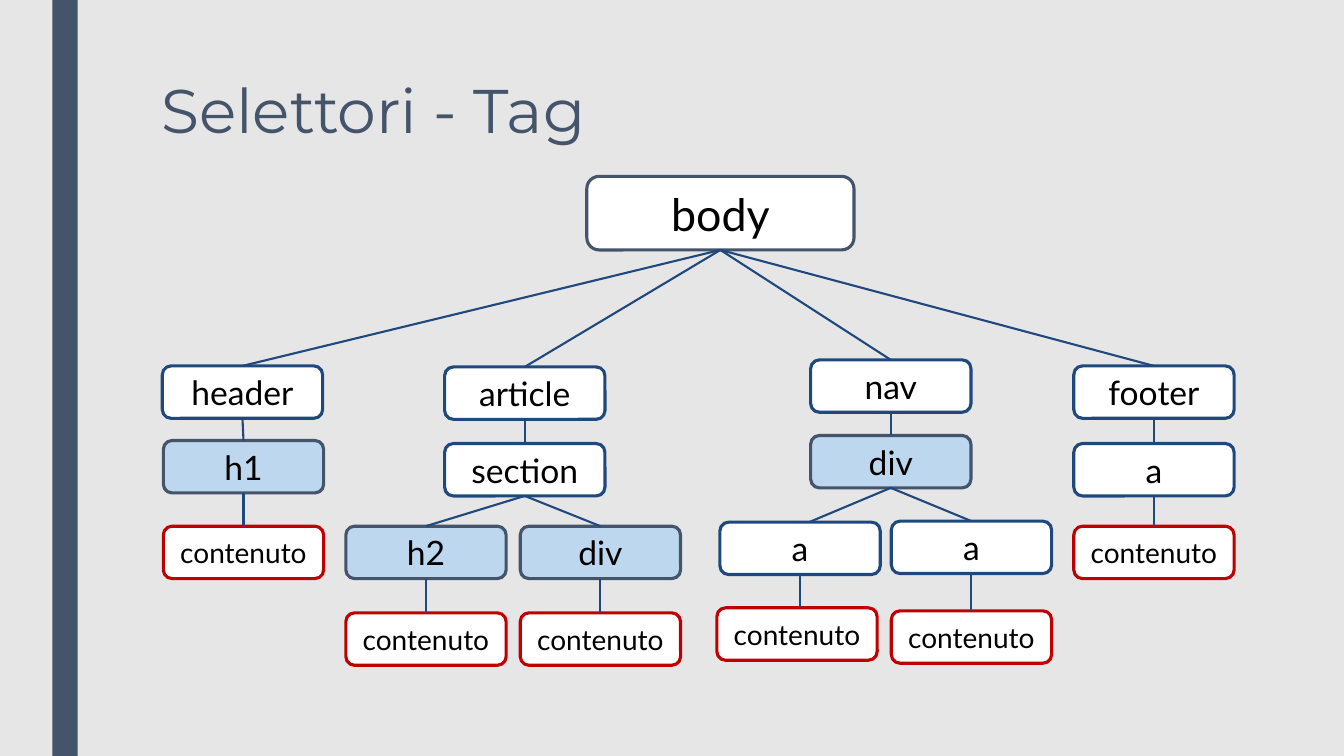
"""Build a slide showing an HTML tag tree with the selected tags highlighted."""
from dataclasses import dataclass

from lxml.etree import SubElement
from pptx import Presentation
from pptx.dml.color import RGBColor
from pptx.enum.shapes import MSO_CONNECTOR, MSO_SHAPE
from pptx.enum.text import MSO_ANCHOR, PP_ALIGN
from pptx.oxml.ns import qn
from pptx.util import Inches, Pt

COLORS = {
    "background": "E7E6E6",
    "slate": "44546A",
    "navy": "1F497D",
    "red": "C00000",
    "white": "FFFFFF",
    "sky": "BDD7EE",
    "black": "000000",
}

STYLES = {
    "root": ("white", "slate", 32, 2.65, 0.73),
    "tag": ("white", "navy", 24, 1.59, 0.52),
    "selected": ("sky", "slate", 24, 1.59, 0.52),
    "content": ("white", "red", 20, 1.59, 0.52),
}


@dataclass
class Node:
    """A tree node, its offset in the tree and the shift of its incoming line."""
    label: str
    style: str
    left: float
    top: float
    children: tuple = ()
    line_shift: float = 0


def content(left, top, line_shift=0):
    """Return a leaf node holding tag content."""
    return Node("contenuto", "content", left, top, (), line_shift)


HEADER = Node("header", "tag", 0, 1.88, (
    Node("h1", "selected", 0.01, 2.62, (content(0.01, 3.47),)),
))
ARTICLE = Node("article", "tag", 2.8, 1.89, (
    Node("section", "tag", 2.8, 2.65, (
        Node("h2", "selected", 1.82, 3.47, (content(1.82, 4.33),)),
        Node("div", "selected", 3.55, 3.47, (content(3.55, 4.33),)),
    )),
))
NAV = Node("nav", "tag", 6.43, 1.82, (
    Node("div", "selected", 6.43, 2.57, (
        Node("a", "tag", 5.53, 3.43, (content(5.5, 4.28, 0.03),), 0.09),
        Node("a", "tag", 7.23, 3.42, (content(7.23, 4.31),)),
    )),
))
FOOTER = Node("footer", "tag", 9.04, 1.88, (
    Node("a", "tag", 9.04, 2.65, (content(9.04, 3.47),)),
))
TREE = Node("body", "root", 4.21, 0, (HEADER, ARTICLE, NAV, FOOTER))


def color(name):
    """Return a named colour."""
    return RGBColor.from_string(COLORS[name])


def format_text(para, font_name, size, color_name):
    """Set the font of every run in a paragraph."""
    for span in para.runs:
        span.font.name = font_name
        span.font.size = Pt(size)
        span.font.color.rgb = color(color_name)


def add_side_bar(page, left, top, width, height):
    """Draw the vertical bar at the left of the page."""
    bar = page.shapes.add_shape(
        MSO_SHAPE.RECTANGLE, Inches(left), Inches(top), Inches(width), Inches(height))
    bar.shadow.inherit = False
    bar.fill.solid()
    bar.fill.fore_color.rgb = color("slate")
    bar.line.fill.background()


def add_title(page, left, top, width, height):
    """Write the page title."""
    box = page.shapes.add_textbox(
        Inches(left), Inches(top), Inches(width), Inches(height))
    frame = box.text_frame
    frame.word_wrap = True
    frame.text = "Selettori - Tag"
    para = frame.paragraphs[0]
    para.line_spacing = 0.89
    format_text(para, "Montserrat", 44, "slate")


def add_node(page, node, left, top):
    """Draw one labelled node of the tree."""
    fill, line, size, width, height = STYLES[node.style]
    box = page.shapes.add_shape(
        MSO_SHAPE.ROUNDED_RECTANGLE, Inches(left + node.left),
        Inches(top + node.top), Inches(width), Inches(height))
    box.shadow.inherit = False
    box.fill.solid()
    box.fill.fore_color.rgb = color(fill)
    box.line.color.rgb = color(line)
    box.line.width = Pt(2.25)
    frame = box.text_frame
    frame.word_wrap = True
    frame.vertical_anchor = MSO_ANCHOR.MIDDLE
    frame.text = node.label
    para = frame.paragraphs[0]
    para.alignment = PP_ALIGN.CENTER
    format_text(para, "Lato", size, "black")
    return box


def add_link(page, parent, child, shift):
    """Join the bottom of a parent to the top of its child."""
    link = page.shapes.add_connector(
        MSO_CONNECTOR.STRAIGHT,
        parent.left + parent.width // 2, parent.top + parent.height,
        child.left + child.width // 2 + Inches(shift), child.top)
    link.begin_connect(parent, 2)
    if not shift:
        link.end_connect(child, 0)
    link.line.color.rgb = color("navy")
    link.line.width = Pt(1.5)
    SubElement(link._element.spPr, qn("a:effectLst"))


def add_tree(page, node, left, top):
    """Draw a node and all its descendants within the tree's box."""
    box = add_node(page, node, left, top)
    for child in node.children:
        child_box = add_tree(page, child, left, top)
        add_link(page, box, child_box, child.line_shift)
    return box


def main():
    """Build and save the deck."""
    deck = Presentation()
    deck.slide_width = Inches(13.33)
    deck.slide_height = Inches(7.5)
    page = deck.slides.add_slide(deck.slide_layouts[6])
    page.background.fill.solid()
    page.background.fill.fore_color.rgb = color("background")
    add_side_bar(page, 0.52, 0, 0.25, 7.5)
    add_title(page, 1.5, 0.75, 10.5, 1.62)
    add_tree(page, TREE, 1.61, 1.75)
    deck.save("out.pptx")


if __name__ == "__main__":
    main()
